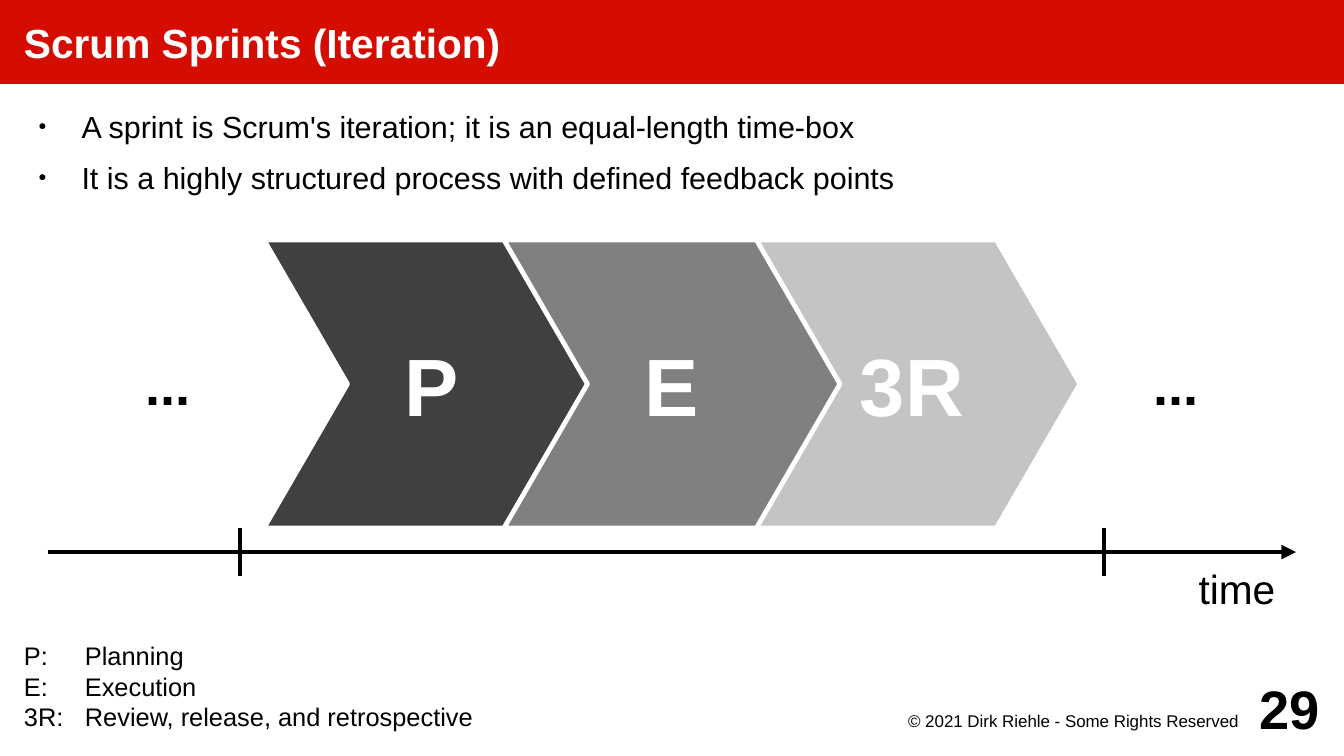
"""Build a slide on Scrum sprints with a chevron process above a time axis."""
from lxml.etree import SubElement
from pptx import Presentation
from pptx.dml.color import RGBColor
from pptx.enum.shapes import MSO_CONNECTOR, MSO_SHAPE
from pptx.enum.text import MSO_ANCHOR, MSO_AUTO_SIZE, PP_ALIGN
from pptx.oxml.ns import qn
from pptx.util import Cm, Pt

COLORS = {
    "banner": "D50D01",
    "white": "FFFFFF",
    "black": "000000",
    "planning": "404040",
    "execution": "808080",
    "review": "C4C4C4",
}


def color(name):
    return RGBColor.from_string(COLORS[name])


def write(shape, lines, size, ink="black", bold=False, align=PP_ALIGN.LEFT,
          anchor=MSO_ANCHOR.TOP, insets=(0, 0, 0, 0), wrap=True):
    frame = shape.text_frame
    frame.text = "\n".join(lines)
    frame.auto_size = MSO_AUTO_SIZE.NONE
    frame.word_wrap = wrap
    frame.vertical_anchor = anchor
    (frame.margin_left, frame.margin_top,
     frame.margin_right, frame.margin_bottom) = (Cm(inset) for inset in insets)
    for paragraph in frame.paragraphs:
        paragraph.alignment = align
        for run in paragraph.runs:
            run.font.name = "Arial"
            run.font.size = Pt(size)
            run.font.bold = bold
            run.font.color.rgb = color(ink)


def add_label(slide, box, lines, size, **style):
    label = slide.shapes.add_textbox(*(Cm(length) for length in box))
    write(label, lines, size, **style)
    return label


def add_title(slide, text):
    title = slide.shapes.title
    title.left, title.top, title.width, title.height = Cm(0), Cm(0), Cm(28), Cm(1.75)
    title.fill.solid()
    title.fill.fore_color.rgb = color("banner")
    write(title, [text], 24, ink="white", bold=True,
          anchor=MSO_ANCHOR.MIDDLE, insets=(0.5, 0, 0, 0))


def add_bullets(slide, box, lines):
    bullets = add_label(slide, box, lines, 18)
    for index, paragraph in enumerate(bullets.text_frame.paragraphs):
        paragraph.space_before = Pt(4.2 if index else 0)
        paragraph.space_after = Pt(4.2)
        properties = paragraph._p.get_or_add_pPr()
        properties.set("marL", str(Cm(1.2)))
        properties.set("indent", str(Cm(-0.9)))
        SubElement(properties, qn("a:buSzPct")).set("val", "45000")
        SubElement(properties, qn("a:buFont")).set("typeface", "Arial")
        SubElement(properties, qn("a:buChar")).set("char", "●")


def add_phase(slide, left, letter, fill):
    phase = slide.shapes.add_shape(MSO_SHAPE.CHEVRON, Cm(left), Cm(5), Cm(7), Cm(6))
    phase.adjustments[0] = 0.29
    phase.shadow.inherit = False
    phase.fill.solid()
    phase.fill.fore_color.rgb = color(fill)
    phase.line.color.rgb = color("white")
    phase.line.width = Pt(2.83)
    write(phase, [letter], 48, ink="white", bold=True, align=PP_ALIGN.CENTER,
          anchor=MSO_ANCHOR.MIDDLE, insets=(0.2,) * 4, wrap=False)


def add_line(slide, start, end, arrow=False):
    line = slide.shapes.add_connector(
        MSO_CONNECTOR.STRAIGHT, *(Cm(length) for length in start + end))
    line.line.color.rgb = color("black")
    line.line.width = Pt(2.89)
    if arrow:
        SubElement(line.line._get_or_add_ln(), qn("a:tailEnd")).set("type", "triangle")
    SubElement(line._element.spPr, qn("a:effectLst"))


def main():
    deck = Presentation()
    deck.slide_width, deck.slide_height = Cm(28), Cm(15.75)
    slide = deck.slides.add_slide(deck.slide_layouts[5])

    add_title(slide, "Scrum Sprints (Iteration)")
    add_label(slide, (0, 10.75, 20, 5),
              ["P:\tPlanning", "E:\tExecution", "3R:\tReview, release, and retrospective"],
              15, anchor=MSO_ANCHOR.BOTTOM, insets=(0.5,) * 4)
    add_bullets(slide, (0.5, 2.25, 27, 2.5), [
        "A sprint is Scrum's iteration; it is an equal-length time-box",
        "It is a highly structured process with defined feedback points",
    ])

    centered = {"align": PP_ALIGN.CENTER, "anchor": MSO_ANCHOR.MIDDLE, "insets": (0.2,) * 4}
    for ellipsis_left in (1, 22):
        add_label(slide, (ellipsis_left, 5, 5, 6), ["..."], 32, bold=True, **centered)
    for step, letter, fill in ((0, "P", "planning"), (2, "3R", "review"), (1, "E", "execution")):
        add_phase(slide, 5.5 + 5 * step, letter, fill)

    add_line(slide, (1, 11.5), (27, 11.5), arrow=True)
    for sprint_boundary in (5, 23):
        add_line(slide, (sprint_boundary, 11), (sprint_boundary, 12))
    add_label(slide, (24.54, 11.53, 2.46, 1.47), ["time"], 24, **centered)

    add_label(slide, (18, 14.75, 8, 0.75), ["© 2021 Dirk Riehle - Some Rights Reserved"],
              10, align=PP_ALIGN.RIGHT, insets=(0, 0.05, 0.2, 0))
    add_label(slide, (25.5, 14, 2, 1.5), ["29"], 32, bold=True,
              align=PP_ALIGN.RIGHT, anchor=MSO_ANCHOR.MIDDLE)
    deck.save("out.pptx")


if __name__ == "__main__":
    main()
